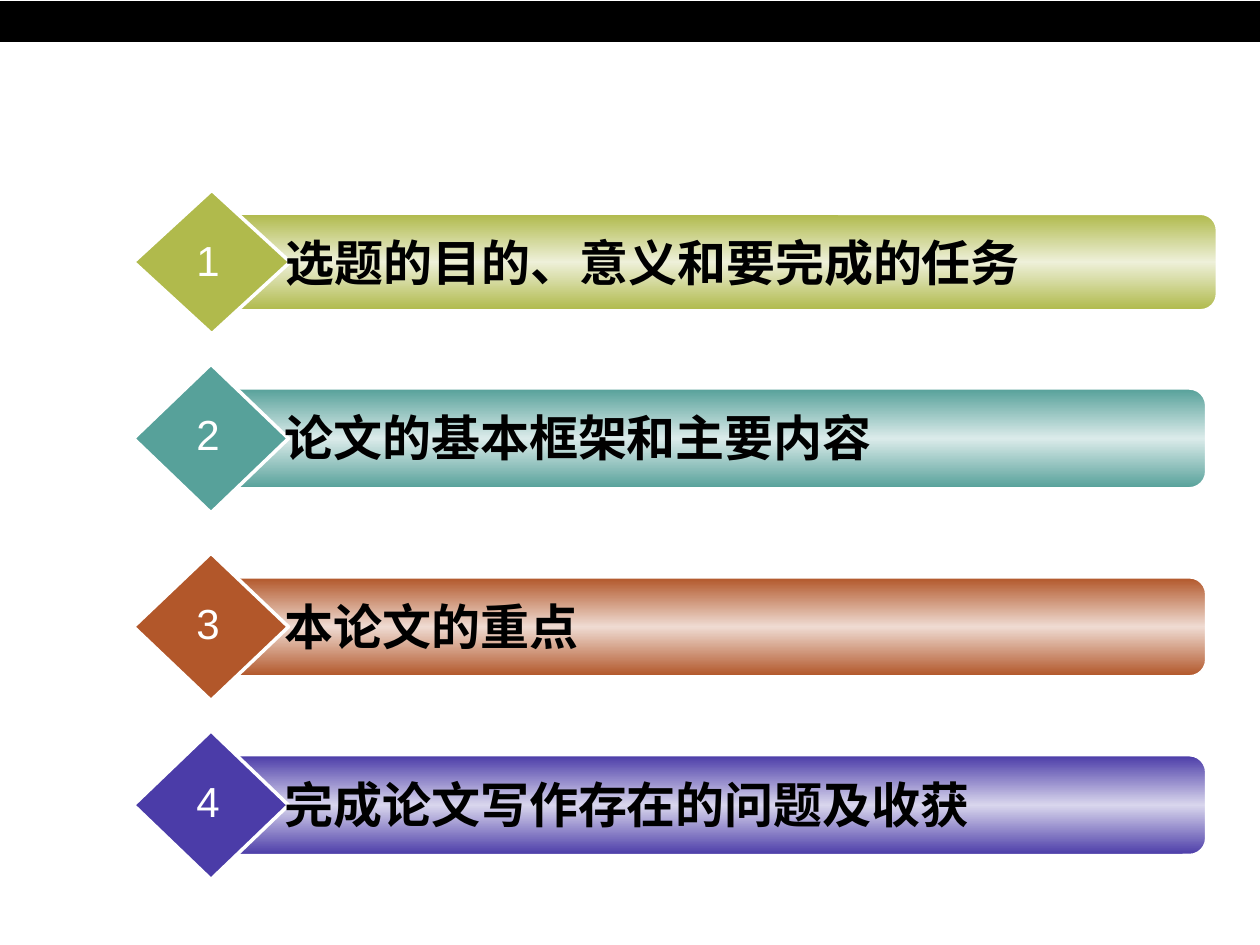
from copy import deepcopy
from pptx import Presentation
from pptx.dml.color import RGBColor as RGB
from pptx.enum.shapes import MSO_SHAPE as Kind
from pptx.enum.text import MSO_AUTO_SIZE as Fit, PP_ALIGN as Align
from pptx.util import Inches, Pt

WIDE, HIGH = 10, 7.5
HUES = {
    "black": "000000", "white": "FFFFFF",
    "lime": "B0BA4C", "lime pale": "EEF0D9",
    "teal": "57A19A", "teal pale": "DBEBEA",
    "rust": "B2572A", "rust pale": "EFDBD2",
    "plum": "4B3CA8", "plum pale": "D9D6ED",
}
ROWS = [
    ("选题的目的、意义和要完成的任务", "lime", 1.51, 1.14, 1.01, 0.57),
    ("论文的基本框架和主要内容", "teal", 2.89, 1.18, 1, 1.04),
    ("本论文的重点", "rust", 4.39, 1.17, 1, 0.57),
    ("完成论文写作存在的问题及收获", "plum", 5.8, 1.18, 1, 0.57),
]
LEFT = 1.06
GEM, BAR, LABEL = 1.23, 7.82, 6.17
BAR_IN, LABEL_IN = 0.69, 1.1


def hue(name):
    return RGB.from_string(HUES[name])


def draw(shapes, kind, box, color, edge, width):
    shape = shapes.add_shape(kind, *map(Inches, box))
    shape.shadow.inherit = False
    shape.fill.solid()
    shape.fill.fore_color.rgb = hue(color)
    shape.line.color.rgb = hue(edge)
    shape.line.width = Pt(width)
    return shape


def shade(shape, color):
    fill = shape.fill
    fill.gradient()
    fill.gradient_angle = 270
    stops = shape._element.spPr.find(".//{*}gsLst")
    stops.append(deepcopy(stops[0]))
    names = (color, color + " pale", color)
    for stop, name, place in zip(fill.gradient_stops, names, (0, 0.5, 1)):
        stop.color.rgb = hue(name)
        stop.position = place


def write(shapes, text, box, size, color, bold=False, wrap=True, align=None):
    frame = shapes.add_textbox(*map(Inches, box)).text_frame
    frame.word_wrap = wrap
    frame.auto_size = Fit.SHAPE_TO_FIT_TEXT
    frame.text = text
    para = frame.paragraphs[0]
    para.alignment = align
    font = para.runs[0].font
    font.name, font.size, font.bold = "Arial", Pt(size), bold
    font.color.rgb = hue(color)


deck = Presentation()
deck.slide_width, deck.slide_height = Inches(WIDE), Inches(HIGH)
slide = deck.slides.add_slide(deck.slide_layouts[6])
draw(slide.shapes, Kind.RECTANGLE, (0, 0.01, WIDE, 0.32), "black", "black", 0.75)

for num, (text, color, top, high, scale, tall) in enumerate(ROWS, 1):
    group = slide.shapes.add_group_shape().shapes
    bar_top = top + high / 6
    bar = draw(group, Kind.ROUNDED_RECTANGLE,
               (LEFT + BAR_IN * scale, bar_top, BAR * scale, high * 2 / 3),
               color, "white", 1)
    shade(bar, color)
    draw(group, Kind.DIAMOND, (LEFT, top, GEM * scale, high), color, "white", 2)
    write(group, text,
          (LEFT + LABEL_IN * scale, bar_top + 0.1, LABEL * scale, tall),
          28, "black", bold=True)
    write(group, str(num), (1.46, bar_top + 0.11, 0.38, 0.5),
          24, "white", wrap=False, align=Align.CENTER)

deck.save("out.pptx")
